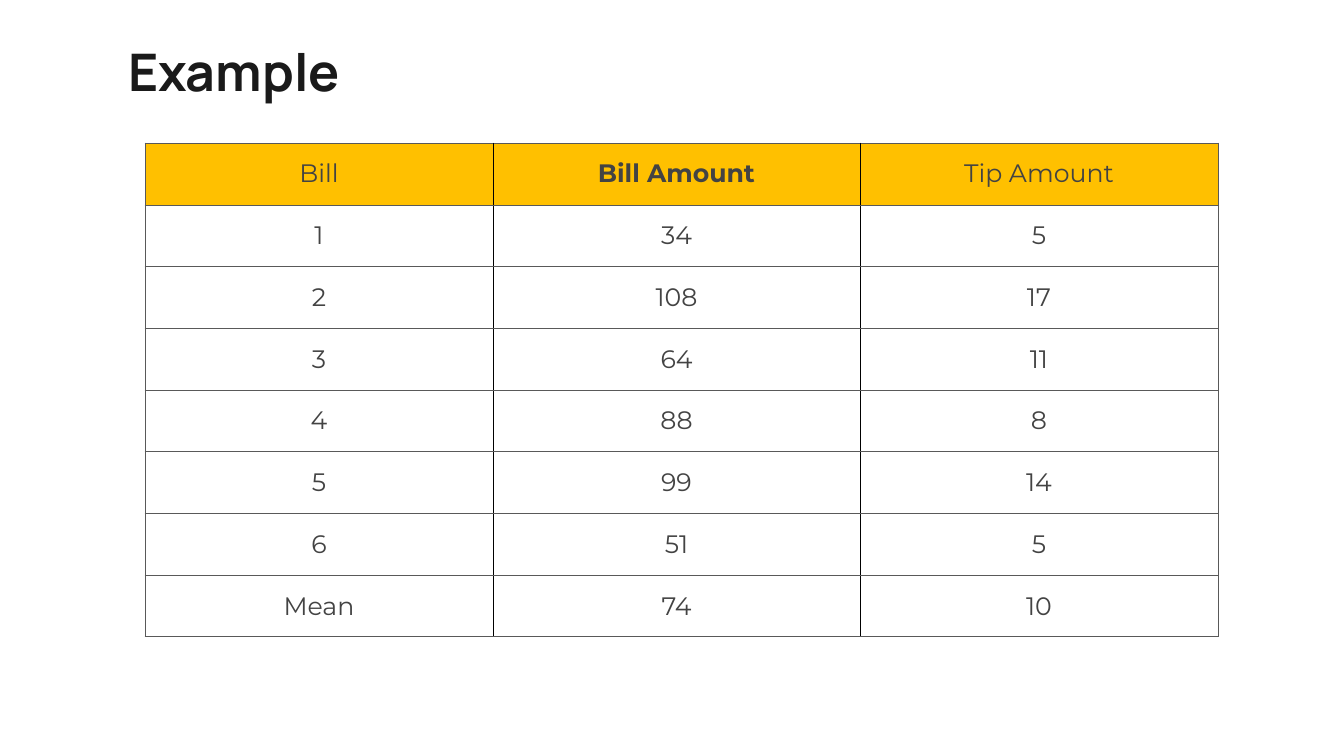
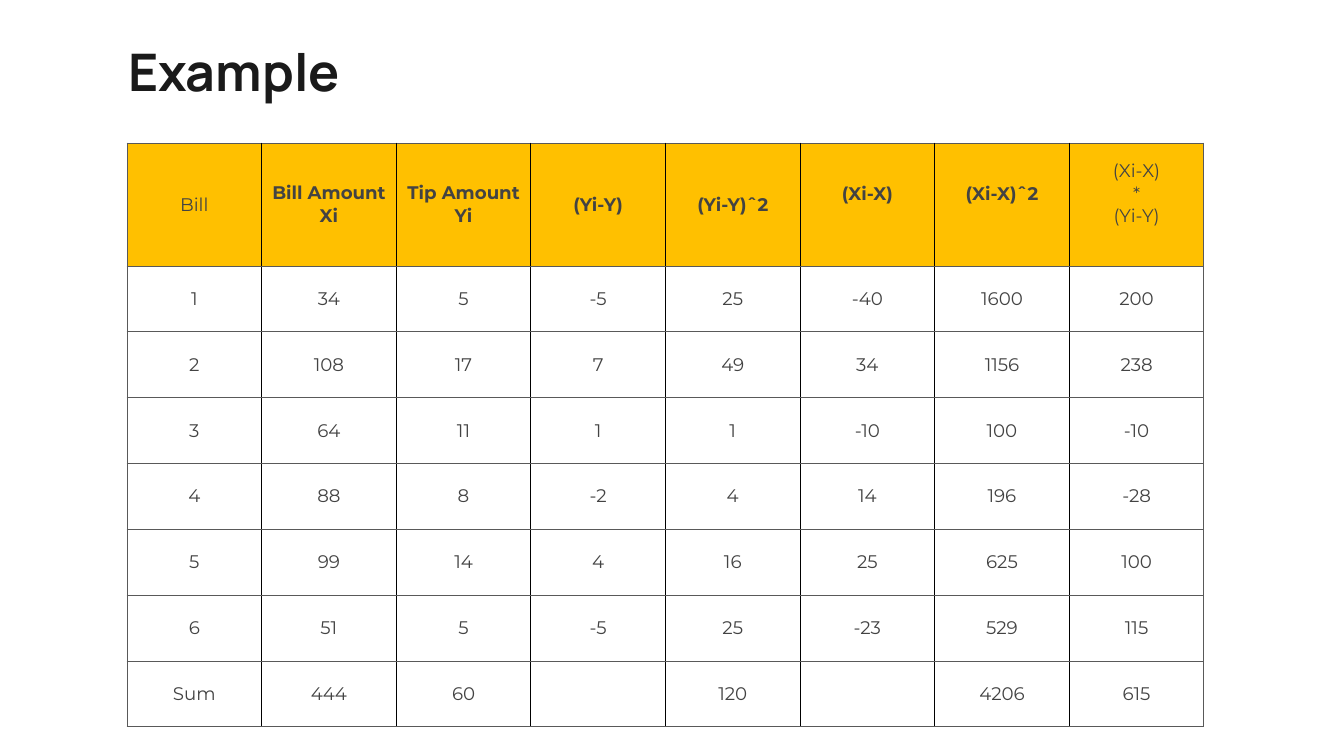
from lxml import etree
from pptx import Presentation
from pptx.dml.color import RGBColor
from pptx.enum.text import MSO_ANCHOR, MSO_AUTO_SIZE, PP_ALIGN
from pptx.oxml.ns import qn
from pptx.util import Pt

MIDDLE = MSO_ANCHOR.MIDDLE
NO_AUTOFIT = MSO_AUTO_SIZE.NONE
LEFT, CENTER = PP_ALIGN.LEFT, PP_ALIGN.CENTER

# Shared look
TITLE_FONT, BODY_FONT = "Manrope", "Montserrat"
TITLE_COLOR, TEXT_COLOR = "1A1A1A", "434343"
HEADER_FILL = "FFC000"
OUTER_LINE, INNER_LINE = "595959", "000000"
LINE_WIDTH = Pt(0.75)
TABLE_TOP = 143
TITLE_ONLY_LAYOUT = 5


def px(n):
    """Pixels at 100.8 to the inch, in EMU."""
    return round(n * 914400 / 100.8)


def add_run(paragraph, text, font, size, color, bold):
    run = paragraph.add_run()
    run.text = text
    run.font.name = font
    run.font.size = Pt(size)
    run.font.bold = bold
    run.font.color.rgb = RGBColor.from_string(color)


# Content: "lifted" header columns sit one text line above the middle
bills = {
    "left": 145,
    "widths": [348, 367, 358],
    "header_height": 62,
    "body_height": 432,
    "size": 18,
    "bold_columns": {1},
    "lifted": {},
    "rows": [
        ["Bill", "Bill Amount", "Tip Amount"],
        ["1", "34", "5"],
        ["2", "108", "17"],
        ["3", "64", "11"],
        ["4", "88", "8"],
        ["5", "99", "14"],
        ["6", "51", "5"],
        ["Mean", "74", "10"],
    ],
}
deviations = {
    "left": 127,
    "widths": [1077 / 8] * 8,
    "header_height": 123,
    "body_height": 461,
    "size": 13,
    "bold_columns": set(range(1, 7)),
    "lifted": {5, 6, 7},
    "rows": [
        ["Bill", "Bill Amount\nXi", "Tip Amount\nYi", "(Yi-Y)", "(Yi-Y)ˆ2",
         "(Xi-X)", "(Xi-X)ˆ2", "(Xi-X)\n*\n(Yi-Y)"],
        ["1", "34", "5", "-5", "25", "-40", "1600", "200"],
        ["2", "108", "17", "7", "49", "34", "1156", "238"],
        ["3", "64", "11", "1", "1", "-10", "100", "-10"],
        ["4", "88", "8", "-2", "4", "14", "196", "-28"],
        ["5", "99", "14", "4", "16", "25", "625", "100"],
        ["6", "51", "5", "-5", "25", "-23", "529", "115"],
        ["Sum", "444", "60", "", "120", "", "4206", "615"],
    ],
}

prs = Presentation()
prs.slide_width, prs.slide_height = px(1344), px(756)

for example in (bills, deviations):
    slide = prs.slides.add_slide(prs.slide_layouts[TITLE_ONLY_LAYOUT])

    # Title
    title = slide.shapes.title
    title.left, title.top, title.width, title.height = px(118), px(14), px(1109), px(121)
    title.text_frame.auto_size = NO_AUTOFIT
    title.text_frame.vertical_anchor = MIDDLE
    heading = title.text_frame.paragraphs[0]
    heading.alignment = LEFT
    heading.line_spacing = 0.9
    add_run(heading, "Example", TITLE_FONT, 37, TITLE_COLOR, True)

    # Table grid
    rows, widths = example["rows"], example["widths"]
    header_height, body_height = example["header_height"], example["body_height"]
    last_column = len(widths) - 1
    table = slide.shapes.add_table(
        len(rows), len(widths), px(example["left"]), px(TABLE_TOP),
        px(sum(widths)), px(header_height + body_height)).table
    table.first_row = table.horz_banding = False
    for column, width in zip(table.columns, widths):
        column.width = px(width)
    for r, row in enumerate(table.rows):
        row.height = px(body_height / (len(rows) - 1)) if r else px(header_height)

    # Cells
    for r, values in enumerate(rows):
        for c, value in enumerate(values):
            cell = table.cell(r, c)
            is_header = r == 0
            cell.vertical_anchor = MIDDLE
            cell.margin_left = cell.margin_right = px(10)
            cell.margin_top = px(5)
            cell.margin_bottom = px(27 if is_header and c in example["lifted"] else 5)

            # Borders come before the fill in the cell properties
            borders = {
                "a:lnL": INNER_LINE if c else OUTER_LINE,
                "a:lnR": INNER_LINE if c < last_column else OUTER_LINE,
                "a:lnT": OUTER_LINE,
                "a:lnB": OUTER_LINE,
            }
            properties = cell._tc.get_or_add_tcPr()
            for side, color in borders.items():
                border = etree.SubElement(properties, qn(side), w=str(LINE_WIDTH))
                line_fill = etree.SubElement(border, qn("a:solidFill"))
                etree.SubElement(line_fill, qn("a:srgbClr"), val=color)
            if is_header:
                cell.fill.solid()
                cell.fill.fore_color.rgb = RGBColor.from_string(HEADER_FILL)
            else:
                cell.fill.background()

            # Text, one paragraph a line
            bold = is_header and c in example["bold_columns"]
            for i, line in enumerate(value.split("\n") if value else []):
                frame = cell.text_frame
                paragraph = frame.add_paragraph() if i else frame.paragraphs[0]
                paragraph.alignment = CENTER
                add_run(paragraph, line, BODY_FONT, example["size"], TEXT_COLOR, bold)

prs.save("out.pptx")
